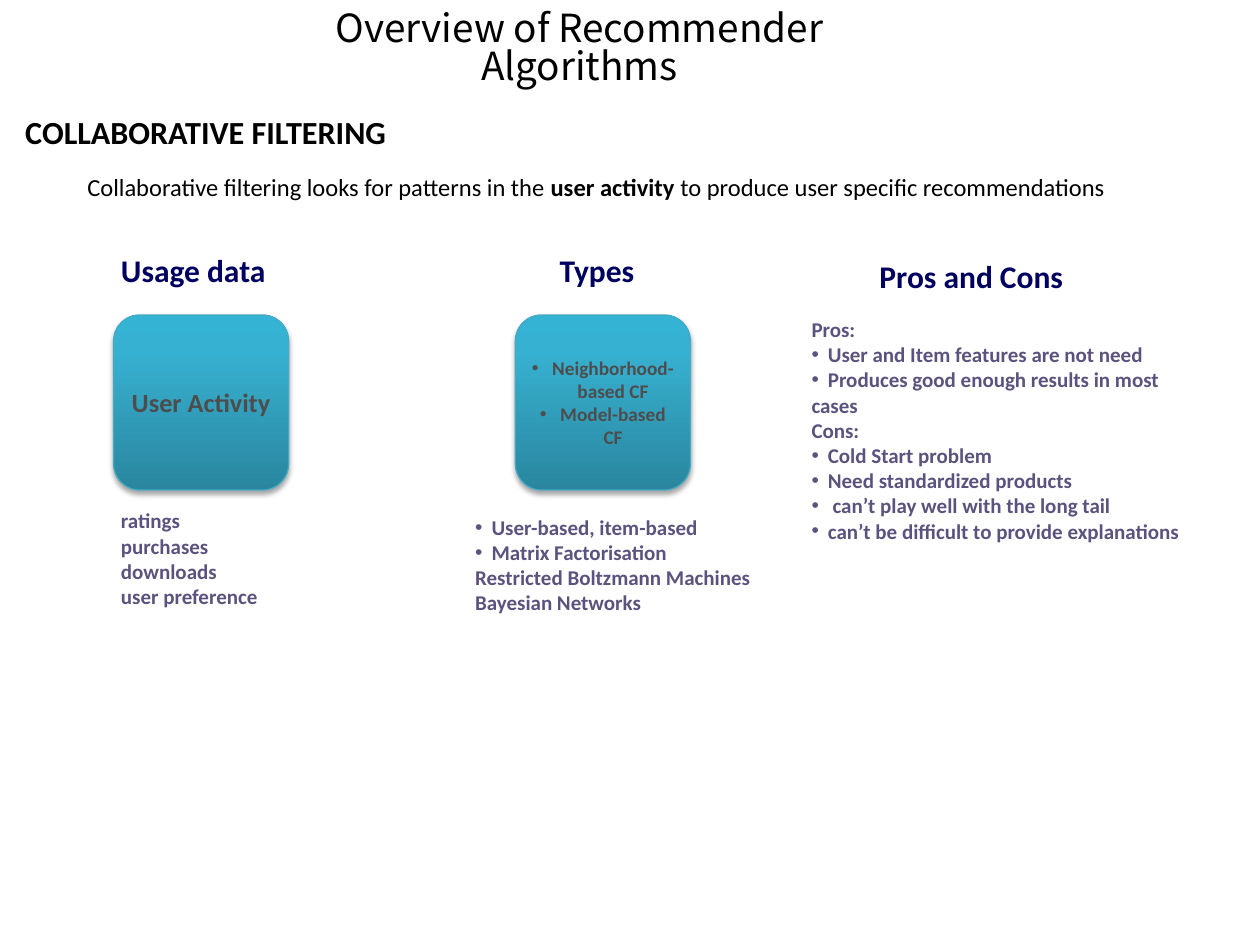
from copy import deepcopy

from lxml import etree
from pptx import Presentation
from pptx.dml.color import RGBColor
from pptx.enum.shapes import MSO_SHAPE
from pptx.enum.text import MSO_ANCHOR, PP_ALIGN
from pptx.oxml import parse_xml
from pptx.oxml.ns import nsdecls, qn
from pptx.util import Cm, Pt

ROUNDED = MSO_SHAPE.ROUNDED_RECTANGLE
MIDDLE, TOP = MSO_ANCHOR.MIDDLE, MSO_ANCHOR.TOP
CENTER, LEFT = PP_ALIGN.CENTER, PP_ALIGN.LEFT

COLOURS = {
    "text": "000000",
    "heading": "000061",
    "detail": "5C527E",
    "tile text": "4D4D4D",
    "tile line": "46AAC4",
}
TILE_STOPS = [(0, "2A869F"), (0.8, "37B1D1"), (1, "34B3D5")]
BULLET = "• "


def write(shape, paragraphs, size, colour, bold=True, font="Calibri",
          align=LEFT, anchor=TOP, wrap=False, indent=Cm(0.33)):
    """Fill a shape with paragraphs, each a string or a list of (text, bold) runs.

    A string that starts with BULLET becomes a hanging bullet paragraph.
    """
    frame = shape.text_frame
    frame_format = {"word_wrap": wrap, "vertical_anchor": anchor}
    for side in ("left", "right", "top", "bottom"):
        frame_format[f"margin_{side}"] = Cm(0.13)
    for name, value in frame_format.items():
        setattr(frame, name, value)
    for index, content in enumerate(paragraphs):
        paragraph = frame.add_paragraph() if index else frame.paragraphs[0]
        paragraph.alignment = align
        if isinstance(content, str):
            if content.startswith(BULLET):
                content = content[len(BULLET):]
                properties = paragraph._p.get_or_add_pPr()
                properties.set("marL", str(indent))
                properties.set("indent", str(-indent))
                etree.SubElement(properties, qn("a:buFont")).set("typeface", "Arial")
                etree.SubElement(properties, qn("a:buChar")).set("char", BULLET.strip())
            content = [(content, bold)]
        for text, run_bold in content:
            run = paragraph.add_run()
            run.text = text
            run_format = {"name": font, "size": Pt(size), "bold": run_bold}
            for name, value in run_format.items():
                setattr(run.font, name, value)
            run.font.color.rgb = RGBColor.from_string(COLOURS[colour])


presentation = Presentation()
presentation.slide_width, presentation.slide_height = Cm(25.4), Cm(19.05)
slide = presentation.slides.add_slide(presentation.slide_layouts[6])

# Title, section name and summary
title = slide.shapes.add_textbox(Cm(4.9), Cm(0.13), Cm(13.56), Cm(1.75))
write(title, ["Overview of Recommender Algorithms"], 22.1, "text", bold=False,
      font="Noto Sans CJK SC", align=CENTER, anchor=MIDDLE, wrap=True)
for paragraph in title.text_frame.paragraphs:
    paragraph.line_spacing = 0.82

section = slide.shapes.add_textbox(Cm(0.38), Cm(1.78), Cm(8.05), Cm(1.75))
write(section, ["COLLABORATIVE FILTERING"], 18.4, "text", anchor=MIDDLE, wrap=True)

summary = slide.shapes.add_textbox(Cm(1.63), Cm(3.33), Cm(23.29), Cm(0.81))
write(summary, [[
    ("Collaborative filtering looks for patterns in the ", False),
    ("user activity", True),
    (" to produce user specific recommendations", False),
]], 14, "text")

# Column headings: text, left, top, width
headings = [
    ("Usage data", 2.31, 4.93, 3.51),
    ("Types", 11.15, 4.93, 1.98),
    ("Pros and Cons", 17.6, 5.05, 4.42),
]
for text, left, top, width in headings:
    heading = slide.shapes.add_textbox(Cm(left), Cm(top), Cm(width), Cm(0.99))
    write(heading, [text], 18, "heading")

# Tiles: left, text size, paragraphs
tiles = [
    (2.29, 15, ["User Activity"]),
    (10.39, 11, ["• Neighborhood-based CF", "• Model-based CF"]),
]
for left, size, paragraphs in tiles:
    tile = slide.shapes.add_shape(ROUNDED, Cm(left), Cm(6.35), Cm(3.53), Cm(3.53))
    tile.adjustments[0] = 0.15
    tile.fill.gradient()
    tile.fill.gradient_angle = 90
    last_stop = tile._element.spPr.findall(".//" + qn("a:gs"))[-1]
    last_stop.addnext(deepcopy(last_stop))
    for stop, (position, colour) in zip(tile.fill.gradient_stops, TILE_STOPS):
        stop.position = position
        stop.color.rgb = RGBColor.from_string(colour)
    tile.line.color.rgb = RGBColor.from_string(COLOURS["tile line"])
    tile.line.width = Pt(0.75)
    tile.shadow.inherit = False
    tile._element.spPr.find(qn("a:effectLst")).append(parse_xml(
        f'<a:outerShdw {nsdecls("a")} blurRad="{Pt(3)}" dist="{Pt(1.8)}" '
        'dir="5400000" rotWithShape="0"><a:srgbClr val="000000">'
        '<a:alpha val="35000"/></a:srgbClr></a:outerShdw>'))
    write(tile, paragraphs, size, "tile text", align=CENTER, anchor=MIDDLE,
          wrap=True, indent=Cm(0.41))

# Details: left, top, width, height, paragraphs
details = [
    (2.31, 10.11, 3.48, 2.24,
     ["ratings", "purchases", "downloads", "user preference"]),
    (9.45, 10.24, 6.6, 2.24,
     ["• User-based, item-based", "• Matrix Factorisation",
      "Restricted Boltzmann Machines", "Bayesian Networks"]),
    (16.23, 6.25, 8.92, 5.18,
     ["Pros:",
      "• User and Item features are not need",
      "• Produces good enough results in most",
      "cases",
      "Cons:",
      "• Cold Start problem",
      "• Need standardized products",
      "•  can’t play well with the long tail",
      "• can’t be difficult to provide explanations"]),
]
for left, top, width, height, paragraphs in details:
    detail = slide.shapes.add_textbox(Cm(left), Cm(top), Cm(width), Cm(height))
    write(detail, paragraphs, 12, "detail")

presentation.save("out.pptx")
